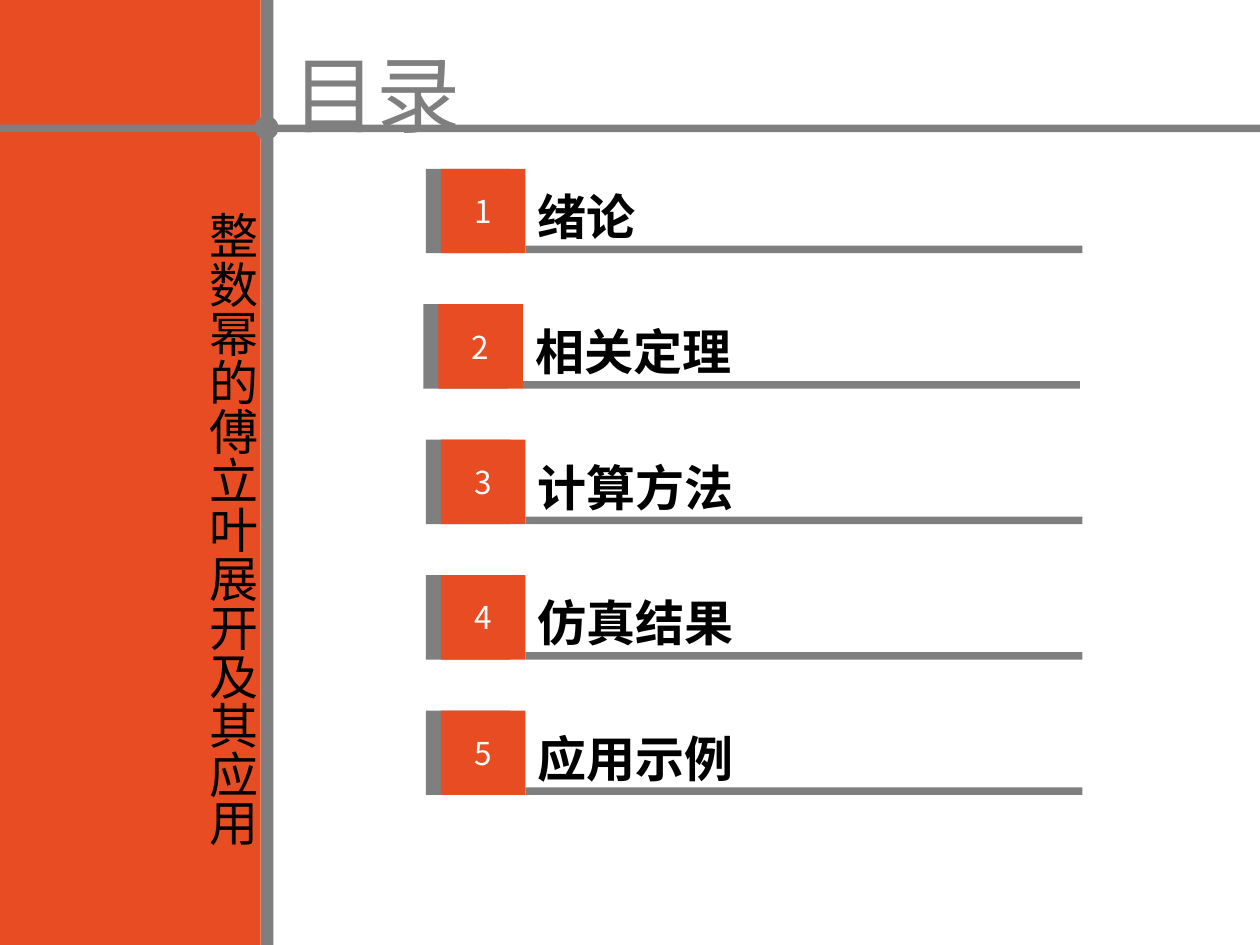
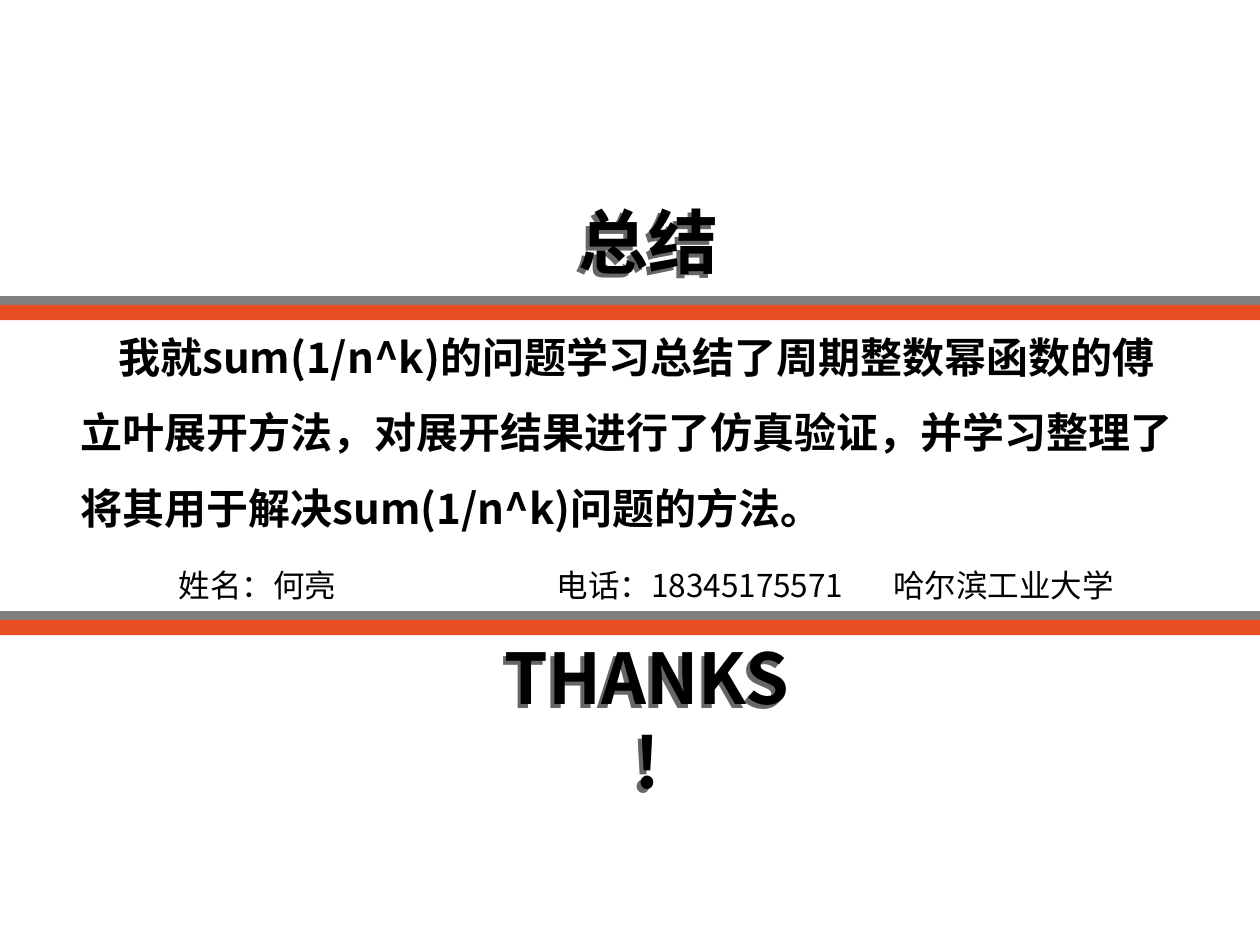
from lxml import etree
from pptx import Presentation
from pptx.dml.color import RGBColor
from pptx.enum.shapes import MSO_SHAPE
from pptx.enum.text import MSO_ANCHOR, PP_ALIGN
from pptx.oxml.ns import qn
from pptx.util import Inches, Pt

RECTANGLE, OVAL = MSO_SHAPE.RECTANGLE, MSO_SHAPE.OVAL
LEFT, CENTER = PP_ALIGN.LEFT, PP_ALIGN.CENTER
MIDDLE = MSO_ANCHOR.MIDDLE

COLORS = {"accent": "E84C22", "grey": "7F7F7F", "text": "000000", "light": "FFFFFF"}
FONT = "Noto Sans CJK SC"
SLIDE_WIDTH, SLIDE_HEIGHT = 10, 7.5

CHAPTERS = ["绪论", "相关定理", "计算方法", "仿真结果", "应用示例"]
FIRST_ROW_TOP, ROW_PITCH = 1.34, 4.3 / 4
ROW_LEFTS = [3.38, 3.36, 3.38, 3.38, 3.38]
SQUARE, SQUARE_SHIFT = 0.67, 0.12
RULE_WIDTH, RULE_HEIGHT = 4.42, 0.06

SUMMARY = ("我就sum(1/n^k)的问题学习总结了周期整数幂函数的傅立叶展开方法，"
           "对展开结果进行了仿真验证，并学习整理了将其用于解决sum(1/n^k)问题的方法。")
CONTACT = ["姓名：何亮", "电话：18345175571", "哈尔滨工业大学"]
CONTACT_TABS = [3, 5.67]


class DeckBuilder:
    def __init__(self):
        self.deck = Presentation()
        self.deck.slide_width = Inches(SLIDE_WIDTH)
        self.deck.slide_height = Inches(SLIDE_HEIGHT)
        self.page = None

    def add_page(self):
        self.page = self.deck.slides.add_slide(self.deck.slide_layouts[6])

    def shape(self, left, top, width, height, color, kind=RECTANGLE):
        shape = self.page.shapes.add_shape(
            kind, Inches(left), Inches(top), Inches(width), Inches(height))
        shape.shadow.inherit = False
        shape.fill.solid()
        shape.fill.fore_color.rgb = RGBColor.from_string(COLORS[color])
        shape.line.fill.background()
        return shape

    def fill_text(self, box, text, size, color="text", bold=False, align=LEFT):
        """Fill a box with one paragraph in the deck's font."""
        para = box.text_frame.paragraphs[0]
        para.text = text
        para.alignment = align
        for span in para.runs:
            span.font.size = Pt(size)
            span.font.bold = bold
            span.font.name = FONT
            span.font.color.rgb = RGBColor.from_string(COLORS[color])
            east_asian = etree.SubElement(span._r.get_or_add_rPr(), qn("a:ea"))
            east_asian.set("typeface", FONT)

    def text(self, left, top, width, height, text, size, wrap=True, **style):
        box = self.page.shapes.add_textbox(
            Inches(left), Inches(top), Inches(width), Inches(height))
        box.text_frame.word_wrap = wrap
        self.fill_text(box, text, size, **style)
        return box

    def vertical_text(self, left, top, width, height, text, size):
        box = self.text(left, top, width, height, text, size, wrap=False, align=CENTER)
        frame = box.text_frame
        frame.margin_left = frame.margin_right = Inches(0.05)
        frame.margin_top = frame.margin_bottom = Inches(0.1)
        frame._txBody.bodyPr.set("vert", "eaVert")

    def headline(self, left, top, width, text):
        """Large bold text with a shadow to the lower left."""
        box = self.text(left, top, width, 0.77, text, 40, bold=True, align=CENTER)
        effects = etree.SubElement(box._element.spPr, qn("a:effectLst"))
        shadow = etree.SubElement(effects, qn("a:outerShdw"), dist="38100",
                                  dir="8100000", algn="tr", rotWithShape="0")
        tone = etree.SubElement(shadow, qn("a:prstClr"), val="black")
        etree.SubElement(tone, qn("a:alpha"), val="60000")

    def double_band(self, top):
        self.shape(0, top, SLIDE_WIDTH, 0.12, "grey")
        self.shape(0, top + 0.07, SLIDE_WIDTH, 0.12, "accent")

    def agenda_row(self, left, top, number, title):
        self.shape(left, top, SQUARE, SQUARE, "grey")
        square = self.shape(left + SQUARE_SHIFT, top, SQUARE, SQUARE, "accent")
        square.text_frame.vertical_anchor = MIDDLE
        self.fill_text(square, str(number), 18, color="light", align=CENTER)
        title_left = left + SQUARE_SHIFT + SQUARE
        self.shape(title_left, top + SQUARE - RULE_HEIGHT, RULE_WIDTH, RULE_HEIGHT, "grey")
        self.text(title_left, top + 0.09, RULE_WIDTH, 0.57, title, 28, bold=True)


def add_tabs(para, positions):
    tab_list = etree.SubElement(para._p.get_or_add_pPr(), qn("a:tabLst"))
    for position in positions:
        etree.SubElement(tab_list, qn("a:tab"), pos=str(Inches(position)), algn="l")


def build_agenda(builder):
    builder.add_page()
    builder.shape(0, 0, 2.07, SLIDE_HEIGHT, "accent")
    builder.shape(0, 0.99, SLIDE_WIDTH, RULE_HEIGHT, "grey")
    builder.shape(2.07, 0, 0.1, SLIDE_HEIGHT, "grey")
    builder.vertical_text(1.47, 1.58, 0.66, 5.15, "整数幂的傅立叶展开及其应用", 28)
    builder.text(2.22, 0.29, 1.53, 0.9, "目录", 48, wrap=False, color="grey")
    builder.shape(2.02, 0.92, 0.19, 0.19, "grey", OVAL)
    for index, (left, title) in enumerate(zip(ROW_LEFTS, CHAPTERS)):
        builder.agenda_row(left, FIRST_ROW_TOP + index * ROW_PITCH, index + 1, title)


def build_summary(builder):
    builder.add_page()
    builder.headline(4.49, 1.53, 1.31, "总结")
    builder.double_band(2.35)
    summary = builder.text(0.54, 2.38, 8.91, 1.9, SUMMARY, 24, bold=True)
    para = summary.text_frame.paragraphs[0]
    para.line_spacing = 1.5
    para._p.get_or_add_pPr().set("indent", str(Inches(0.3)))
    contact = builder.text(1.32, 4.44, 7.72, 0.4, "\t".join(CONTACT), 18)
    add_tabs(contact.text_frame.paragraphs[0], CONTACT_TABS)
    builder.double_band(4.85)
    builder.headline(3.86, 4.99, 2.55, "THANKS!")


def main():
    builder = DeckBuilder()
    build_agenda(builder)
    build_summary(builder)
    builder.deck.save("out.pptx")


if __name__ == "__main__":
    main()
